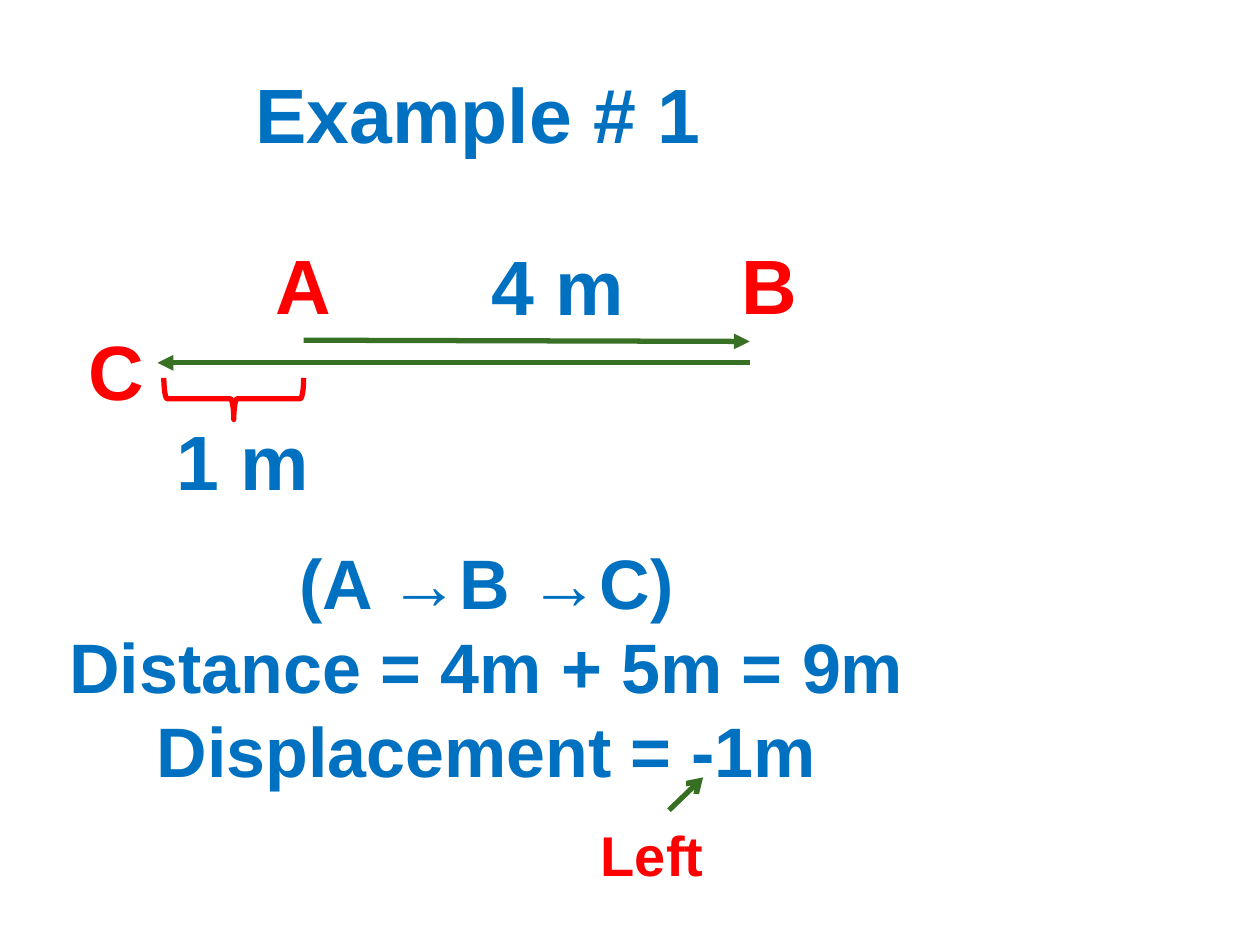
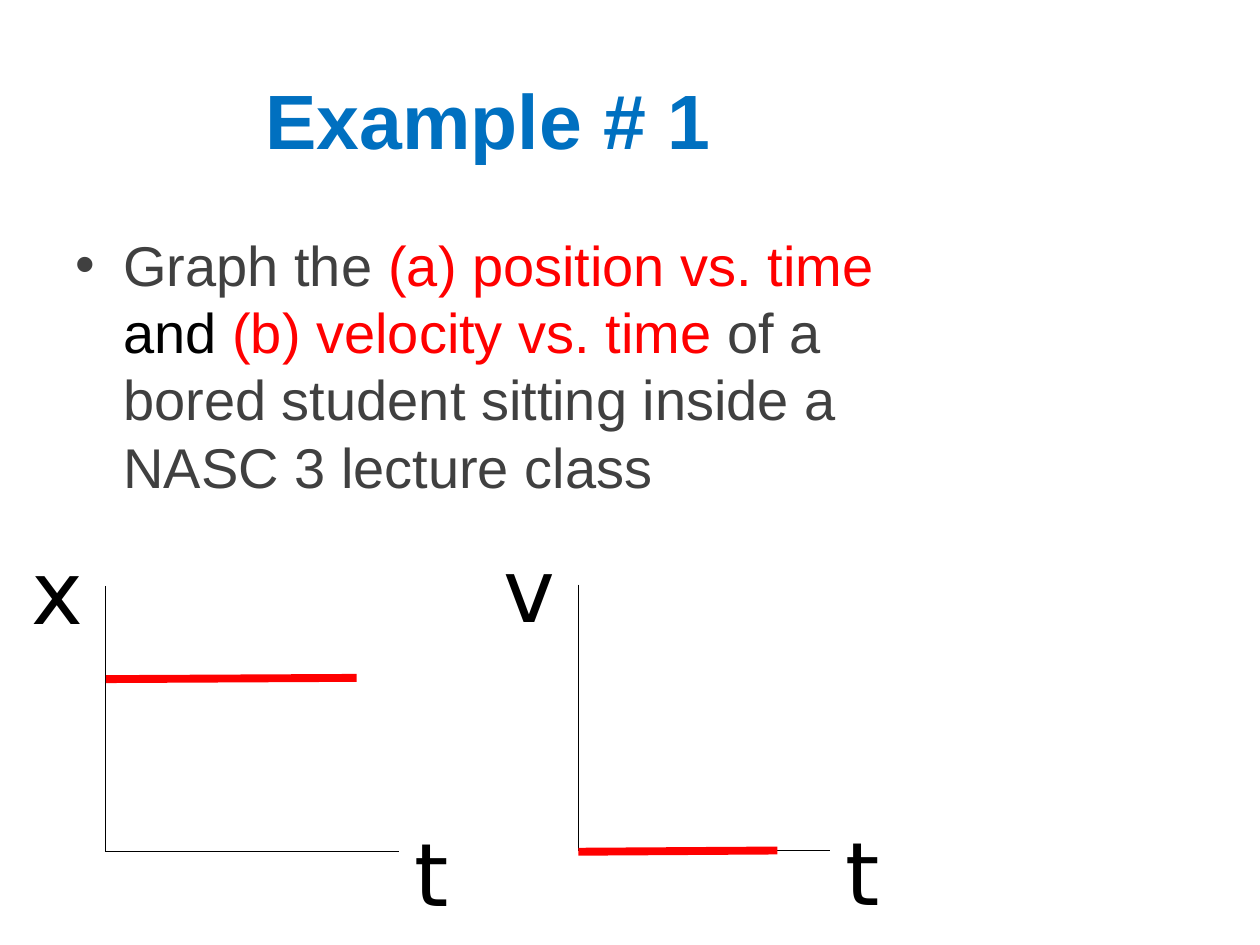
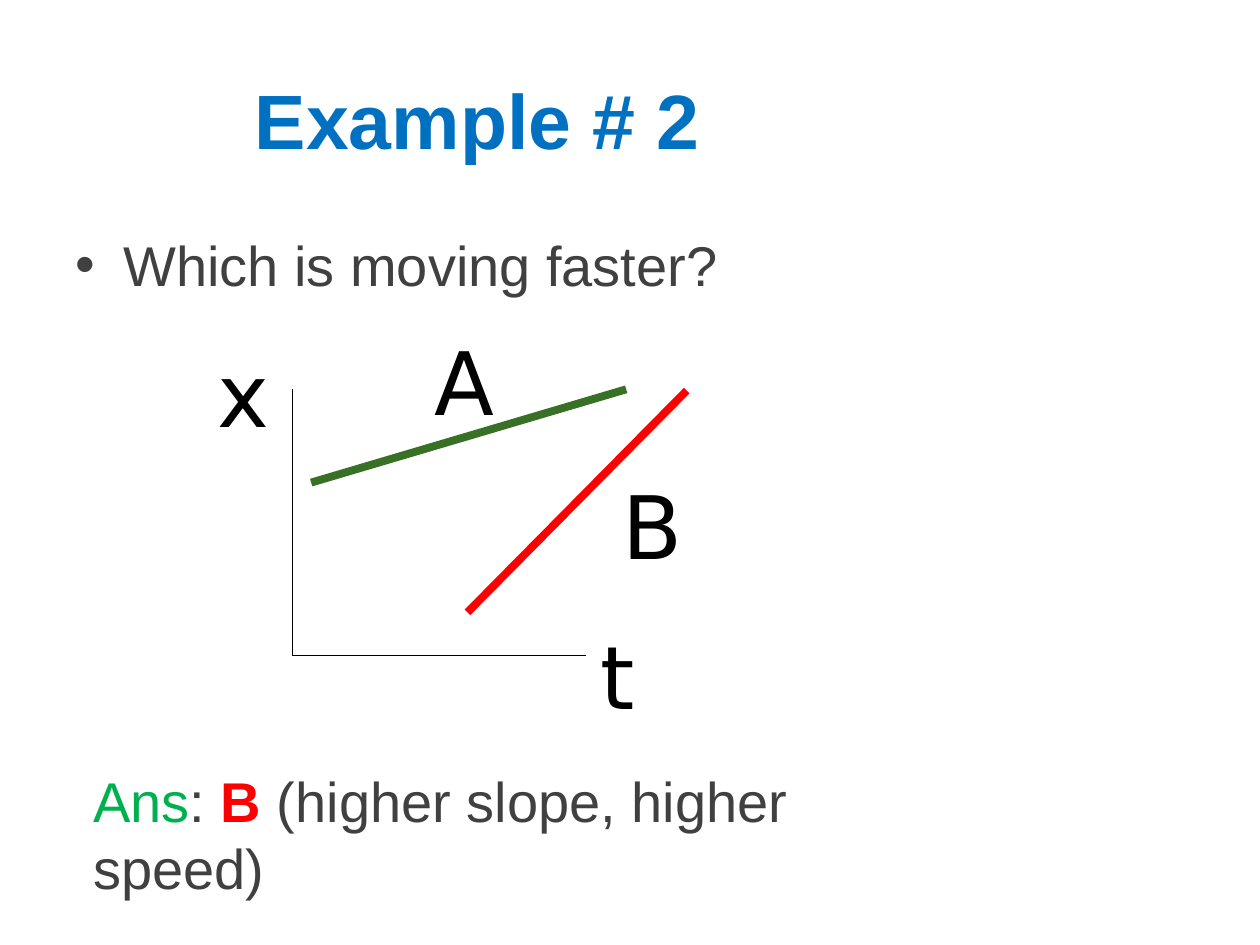
from dataclasses import dataclass

from lxml import etree
from pptx import Presentation
from pptx.dml.color import RGBColor
from pptx.enum.shapes import MSO_CONNECTOR as CONN, MSO_SHAPE as SHAPE
from pptx.enum.text import MSO_ANCHOR as ANCHOR, PP_ALIGN as ALIGN
from pptx.oxml.ns import qn
from pptx.util import Emu, Inches, Pt

COLORS = {
    "blue": "0070C0",
    "red": "FF0000",
    "green": "387025",
    "pointer": "366F22",
    "answer": "00B050",
    "gray": "404040",
    "black": "000000",
}
STYLES = {
    "title": {"name": "Arial", "size": Pt(44), "bold": True},
    "result": {"name": "Arial", "size": Pt(40), "bold": True},
    "note": {"name": "Arial", "size": Pt(32), "bold": True},
    "body": {"name": "Arial", "size": Pt(32), "bold": False},
    "label": {"name": "DejaVu Sans", "size": Pt(50), "bold": False},
}
WIDTH, HEIGHT = Inches(10), Inches(7.5)
COLS, ROWS = 100, 75
LINE_PITCH = 1.2
AXIS_PT, ARROW_PT, TRACE_PT = 0.75, 3, 4.5


@dataclass
class Box:
    left: float
    top: float
    width: float
    height: float

    def sub(self, left, top, width, height):
        return Box(self.left + left, self.top + top, width, height)

    def point(self, x, y):
        return grid(self.left + x, self.top + y)

    def frame(self):
        return *self.point(0, 0), *grid(self.width, self.height)


def grid(x, y):
    return Emu(round(x * WIDTH / COLS)), Emu(round(y * HEIGHT / ROWS))


def rgb(color):
    return RGBColor.from_string(COLORS[color])


def add_bullet(p):
    pPr = p._p.get_or_add_pPr()
    pPr.set("marL", str(Inches(0.38)))
    pPr.set("indent", str(Inches(-0.38)))
    font = etree.SubElement(pPr, qn("a:buFont"))
    font.set("typeface", "Arial")
    etree.SubElement(pPr, qn("a:buChar")).set("char", "•")


def add_text(s, box, style, paragraphs, centered=False, bullet=False):
    sp = s.shapes.add_textbox(*box.frame())
    tf = sp.text_frame
    layout = {
        "word_wrap": True,
        "margin_top": Inches(0.08),
        "vertical_anchor": ANCHOR.MIDDLE if centered else ANCHOR.TOP,
    }
    for key, value in layout.items():
        setattr(tf, key, value)
    for i, runs in enumerate(paragraphs):
        p = tf.add_paragraph() if i else tf.paragraphs[0]
        p.alignment = ALIGN.CENTER if centered else ALIGN.LEFT
        p.line_spacing = Pt(LINE_PITCH * STYLES[style]["size"].pt)
        if bullet:
            add_bullet(p)
        for text, color, *extra in runs:
            r = p.add_run()
            r.text = text
            for key, value in {**STYLES[style], **dict(extra)}.items():
                setattr(r.font, key, value)
            r.font.color.rgb = rgb(color)
    return sp


def add_line(s, box, start, end, color, weight, tail=None):
    line = s.shapes.add_connector(CONN.STRAIGHT, *box.point(*start), *box.point(*end))
    line.line.color.rgb = rgb(color)
    line.line.width = Pt(weight)
    if tail:
        etree.SubElement(line.line._get_or_add_ln(), qn("a:tailEnd")).set("type", tail)
    etree.SubElement(line._element.spPr, qn("a:effectLst"))
    return line


def add_title(s, text, left=5, top=3):
    add_text(s, Box(left, top, 67.5, 12.5), "title", [[(text, "blue")]], centered=True)


def add_question(s, height, runs):
    add_text(s, Box(5, 17.5, 65.8, height), "body", [runs], bullet=True)


def add_path_diagram(s, box):
    add_line(s, box, (21.7, 9.3), (57.1, 9.4), "green", ARROW_PT, "triangle")
    add_line(s, box, (57.1, 11.1), (10.1, 11.1), "green", ARROW_PT, "triangle")
    brace = s.shapes.add_shape(SHAPE.RIGHT_BRACE, *box.sub(14.5, 8.4, 3.3, 11.1).frame())
    brace.rotation = 90
    brace.shadow.inherit = False
    brace.fill.background()
    brace.line.color.rgb = rgb("red")
    brace.line.width = Pt(ARROW_PT)
    for text, color, left, top, width in (
        ("4 m", "blue", 31.9, 0.1, 20),
        ("1 m", "blue", 9.6, 14, 14.6),
        ("A", "red", 14.9, 0, 13.6),
        ("B", "red", 51.9, 0, 13.6),
        ("C", "red", 0, 6.8, 13.6),
    ):
        add_text(s, box.sub(left, top, width, 9.3), "title", [[(text, color)]], centered=True)


def add_results(s, box):
    lines = ("(A →B →C)", "Distance = 4m + 5m = 9m", "Displacement = -1m")
    add_text(s, box, "result", [[(line, "blue")] for line in lines], centered=True)
    note = add_text(s, box.sub(44.8, 23.3, 12.8, 7.6), "note", [[("Left", "red")]])
    pointer = add_line(s, box, (51.2, 23.3), (53.9, 20.7), "pointer", ARROW_PT, "arrow")
    pointer.begin_connect(note, 0)


def add_label(s, box, text, left, top):
    add_text(s, box.sub(left, top, 5.8, 9.4), "label", [[(text, "black")]])


def add_graph(s, box, quantity, traces, labels=()):
    add_line(s, box, (0, 0), (0, box.height), "black", AXIS_PT)
    add_line(s, box, (0, box.height), (box.width, box.height), "black", AXIS_PT)
    for start, end, color in traces:
        add_line(s, box, start, end, color, TRACE_PT)
    add_label(s, box, quantity, -6.9, -4.7)
    add_label(s, box, "t", box.width + 0.2, box.height - 3.4)
    for label in labels:
        add_label(s, box, *label)


def displacement_slide(s):
    add_title(s, "Example # 1", 4.2, 2.5)
    add_path_diagram(s, Box(2.4, 17.7, 65.5, 23.3))
    add_results(s, Box(1.9, 41, 73.4, 23.3))


def rest_slide(s):
    add_title(s, "Example # 1")
    add_question(s, 23.3, [
        ("Graph the ", "gray"),
        ("(a) position vs. time ", "red"),
        ("and", "black"),
        (" (b) velocity vs. time", "red"),
        (" of a bored student sitting inside a NASC 3 lecture class", "gray"),
    ])
    add_graph(s, Box(8.4, 46.5, 23.3, 21.1), "x", [((19.9, 7.3), (0, 7.4), "red")])
    add_graph(s, Box(45.9, 46.4, 20, 21.1), "v", [((15.8, 21.1), (0, 21.2), "red")])


def slope_slide(s):
    add_title(s, "Example # 2 ")
    add_question(s, 9.2, [("Which is moving faster?", "gray")])
    add_graph(
        s, Box(23.2, 30.9, 23.3, 21.1), "x",
        [((31.3, 0.1), (13.9, 17.7), "red"), ((26.5, 0), (1.5, 7.4), "green")],
        [("A", 10.3, -5.7), ("B", 25.2, 5.8)],
    )
    add_text(s, Box(6.4, 60, 65.8, 12.5), "body", [[
        ("Ans", "answer"),
        (": ", "gray"),
        ("B", "red", ("bold", True)),
        (" (higher slope, higher speed)", "gray"),
    ]])


def main():
    prs = Presentation()
    prs.slide_width, prs.slide_height = WIDTH, HEIGHT
    for build in (displacement_slide, rest_slide, slope_slide):
        build(prs.slides.add_slide(prs.slide_layouts[6]))
    prs.save("out.pptx")


if __name__ == "__main__":
    main()
